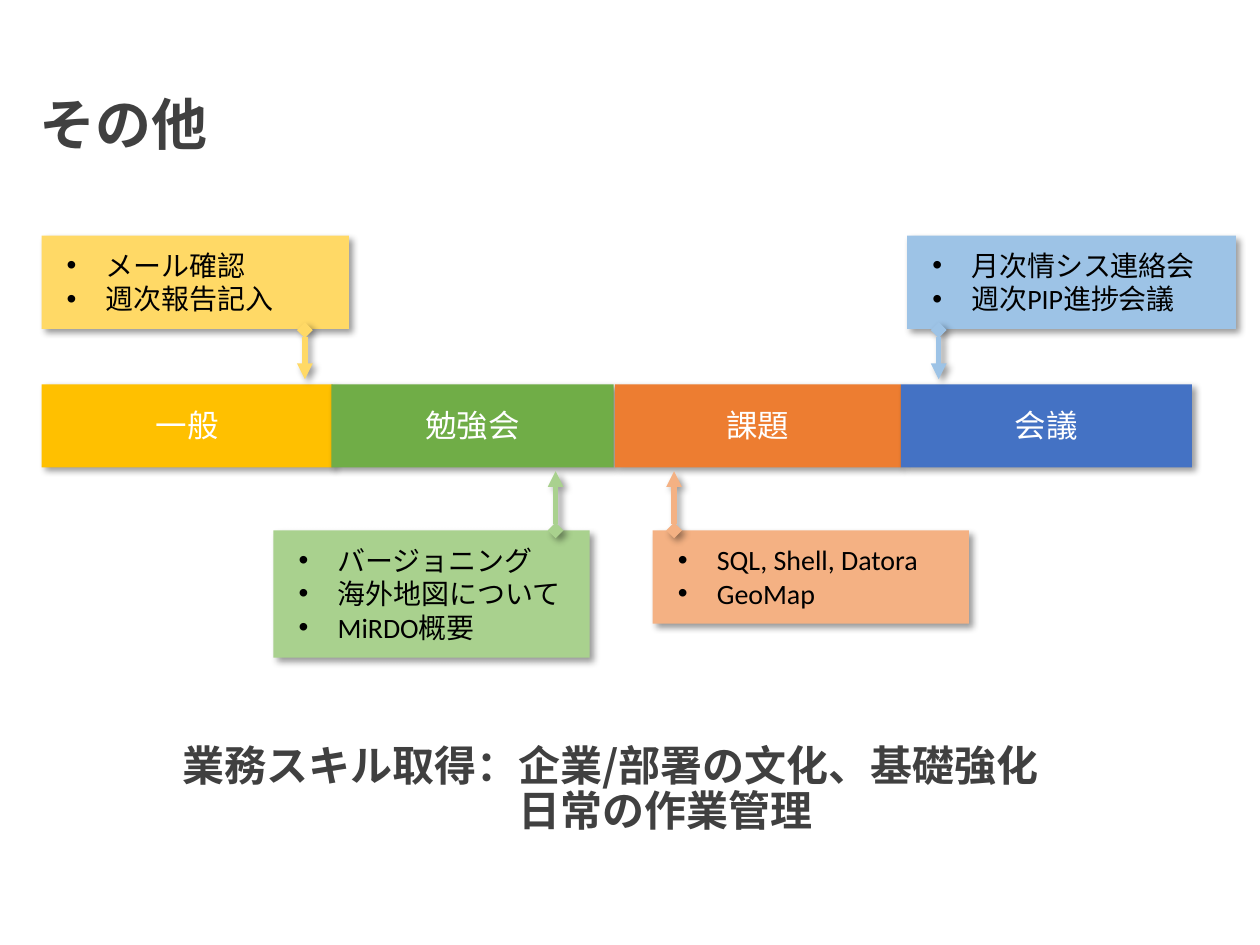
from dataclasses import dataclass

from lxml.etree import SubElement
from pptx import Presentation
from pptx.dml.color import RGBColor
from pptx.enum.shapes import MSO_CONNECTOR as Connector, MSO_SHAPE as Shape
from pptx.enum.text import MSO_ANCHOR as Anchor, MSO_AUTO_SIZE as AutoSize, PP_ALIGN as Align
from pptx.oxml.ns import qn
from pptx.util import Inches, Pt

HEADING_FONT = "Noto Sans CJK JP"
HEADING_COLOR = "404040"
BAND_TOP, BAND_HEIGHT = 3.05, 0.66
LABEL_TOP, LABEL_HEIGHT = 3.17, 0.4


@dataclass
class Category:
    name: str
    left: float
    width: float
    label_width: float
    color: str


@dataclass
class Callout:
    items: list[str]
    left: float
    top: float
    width: float
    height: float
    color: str
    arrow_x: float
    arrow_start: float
    arrow_end: float


CATEGORIES = [
    Category("一般", 0.33, 2.31, 0.89, "FFC000"),
    Category("勉強会", 2.63, 2.24, 1.09, "70AD47"),
    Category("課題", 4.88, 2.27, 0.89, "ED7D31"),
    Category("会議", 7.15, 2.31, 0.89, "4472C4"),
]

CALLOUTS = [
    Callout(["バージョニング", "海外地図について", "MiRDO概要"],
            2.17, 4.21, 2.51, 1.01, "A9D18E", 4.41, 4.21, 3.74),
    Callout(["SQL, Shell, Datora", "GeoMap"],
            5.18, 4.21, 2.51, 0.74, "F4B183", 5.35, 4.21, 3.74),
    Callout(["月次情シス連絡会", "週次PIP進捗会議"],
            7.2, 1.87, 2.61, 0.74, "9DC3E6", 7.45, 2.62, 3.01),
    Callout(["メール確認", "週次報告記入"],
            0.33, 1.87, 2.44, 0.74, "FFD966", 2.42, 2.62, 3.01),
]


def rgb(color: str) -> RGBColor:
    return RGBColor.from_string(color)


def add_shadow(part) -> None:
    effects = SubElement(part._element.spPr, qn("a:effectLst"))
    shadow = SubElement(effects, qn("a:outerShdw"), blurRad=str(Pt(4)), dist=str(Pt(3)),
                        dir="2700000", algn="tl", rotWithShape="0")
    black = SubElement(shadow, qn("a:srgbClr"), val="000000")
    SubElement(black, qn("a:alpha"), val="40000")


def format_text(paragraph, size: float, font: str, color: str, bold: bool = False) -> None:
    for run in paragraph.runs:
        run.font.size = Pt(size)
        run.font.name = font
        run.font.bold = bold
        run.font.color.rgb = rgb(color)
        SubElement(run.font._element, qn("a:ea"), typeface="Calibri")


def add_panel(slide, left: float, top: float, width: float, height: float, color: str):
    panel = slide.shapes.add_shape(Shape.RECTANGLE, Inches(left), Inches(top),
                                   Inches(width), Inches(height))
    panel.fill.solid()
    panel.fill.fore_color.rgb = rgb(color)
    panel.line.fill.background()
    add_shadow(panel)
    return panel


def add_text(slide, left: float, top: float, width: float, height: float, text: str):
    box = slide.shapes.add_textbox(Inches(left), Inches(top), Inches(width), Inches(height))
    box.text_frame.word_wrap = True
    box.text_frame.text = text
    return box.text_frame


def add_label(slide, category: Category) -> None:
    left = category.left + (category.width - category.label_width) / 2
    frame = add_text(slide, left, LABEL_TOP, category.label_width, LABEL_HEIGHT, category.name)
    frame.auto_size = AutoSize.SHAPE_TO_FIT_TEXT
    label = frame.paragraphs[0]
    label.alignment = Align.CENTER
    format_text(label, 18, "Arial Narrow", "FFFFFF")


def add_heading(slide, left: float, top: float, width: float, text: str,
                size: float, anchor: Anchor):
    frame = add_text(slide, left, top, width, 1.19, text)
    frame.vertical_anchor = anchor
    for paragraph in frame.paragraphs:
        paragraph.line_spacing = 0.9
        format_text(paragraph, size, HEADING_FONT, HEADING_COLOR, bold=True)
    return frame


def add_bullets(frame, items: list[str]) -> None:
    frame.word_wrap = True
    frame.auto_size = AutoSize.SHAPE_TO_FIT_TEXT
    frame.vertical_anchor = Anchor.TOP
    frame.margin_left = frame.margin_right = Inches(0.2)
    frame.margin_top = frame.margin_bottom = Inches(0.1)
    frame.text = "\n".join(items)
    for item in frame.paragraphs:
        item.alignment = Align.LEFT
        properties = item._p.get_or_add_pPr()
        properties.set("marL", str(Inches(0.31)))
        properties.set("indent", str(Inches(-0.31)))
        SubElement(properties, qn("a:buFont"), typeface="Arial")
        SubElement(properties, qn("a:buChar"), char="•")
        format_text(item, 16, "Calibri", "000000")


def add_arrow(slide, callout: Callout) -> None:
    x = Inches(callout.arrow_x)
    arrow = slide.shapes.add_connector(Connector.STRAIGHT, x, Inches(callout.arrow_start),
                                       x, Inches(callout.arrow_end))
    arrow.line.color.rgb = rgb(callout.color)
    arrow.line.width = Pt(3)
    line = arrow.line._get_or_add_ln()
    SubElement(line, qn("a:headEnd"), type="diamond")
    SubElement(line, qn("a:tailEnd"), type="triangle")
    add_shadow(arrow)


def main() -> None:
    deck = Presentation()
    deck.slide_width, deck.slide_height = Inches(10), Inches(7.5)
    slide = deck.slides.add_slide(deck.slide_layouts[6])

    # Title
    title = add_heading(slide, 0, 0.11, 8.92, "その他", 32, Anchor.BOTTOM)
    title.margin_left = Inches(0.31)

    # Category band
    for category in CATEGORIES:
        add_panel(slide, category.left, BAND_TOP, category.width, BAND_HEIGHT, category.color)
    for category in CATEGORIES:
        add_label(slide, category)

    # Callouts pointing at the band
    for callout in CALLOUTS:
        panel = add_panel(slide, callout.left, callout.top, callout.width,
                          callout.height, callout.color)
        add_bullets(panel.text_frame, callout.items)
        add_arrow(slide, callout)

    # Conclusion, second line aligned after the colon
    conclusion = add_heading(slide, 1.35, 5.68, 7.39,
                             "業務スキル取得：企業/部署の文化、基礎強化\n日常の作業管理",
                             24, Anchor.MIDDLE)
    conclusion.paragraphs[1]._p.get_or_add_pPr().set("marL", str(Inches(2.67)))

    deck.save("out.pptx")


if __name__ == "__main__":
    main()
